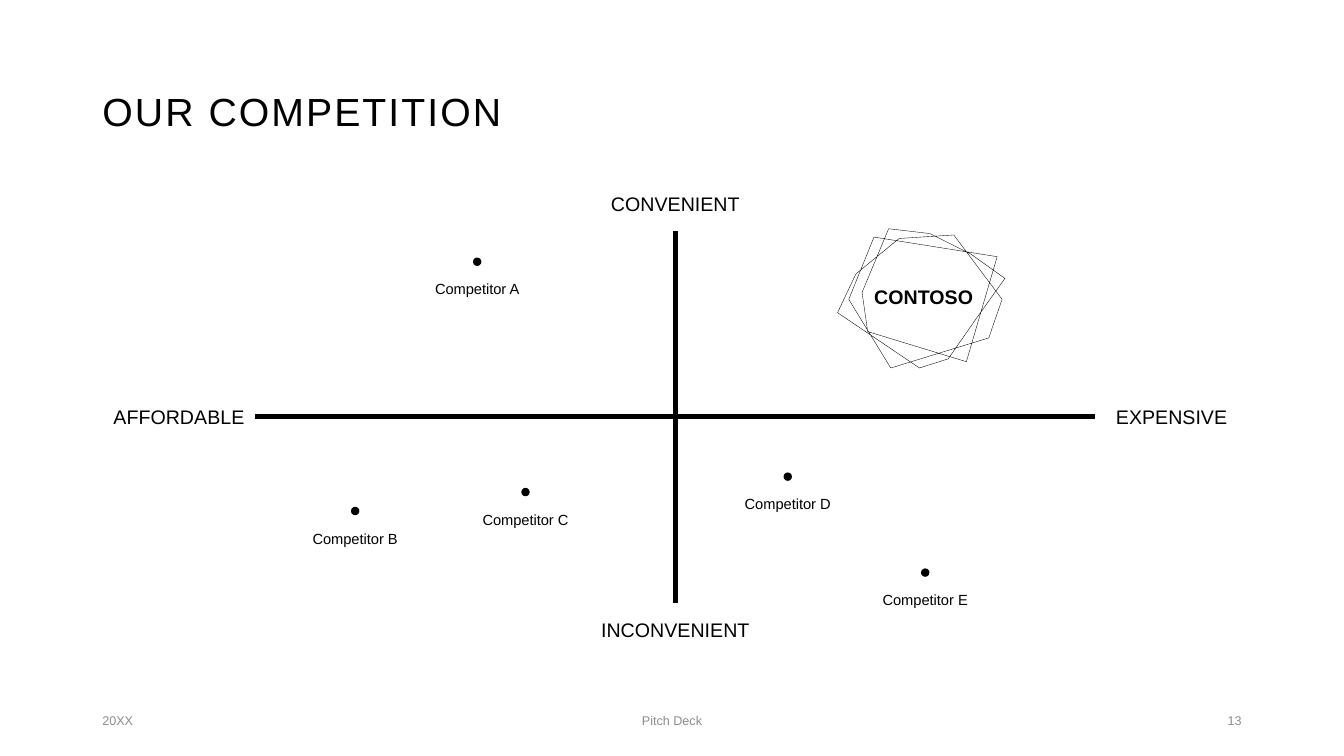
from dataclasses import dataclass

from lxml import etree
from pptx import Presentation
from pptx.dml.color import RGBColor
from pptx.enum.shapes import MSO_CONNECTOR, MSO_SHAPE
from pptx.enum.text import MSO_ANCHOR, MSO_AUTO_SIZE, PP_ALIGN
from pptx.oxml.ns import qn
from pptx.util import Pt

STRAIGHT = MSO_CONNECTOR.STRAIGHT
OVAL = MSO_SHAPE.OVAL
MIDDLE = MSO_ANCHOR.MIDDLE
NO_FIT = MSO_AUTO_SIZE.NONE
LEFT, CENTER, RIGHT = PP_ALIGN.LEFT, PP_ALIGN.CENTER, PP_ALIGN.RIGHT
TOP_SIDE, LEFT_SIDE, BOTTOM_SIDE, RIGHT_SIDE = 0, 1, 2, 3


@dataclass(frozen=True)
class Theme:
    """Colours, font and type sizes of the deck."""
    ink: RGBColor = RGBColor(0x00, 0x00, 0x00)
    muted: RGBColor = RGBColor(0x8C, 0x8C, 0x8C)
    font: str = "Arial"
    title: float = 28
    axis: float = 14
    competitor: float = 10.5
    footer: float = 9


THEME = Theme()

COMPETITORS = [
    ("Competitor A", 112, 22),
    ("Competitor B", 24.8, 200),
    ("Competitor C", 146.5, 186.5),
    ("Competitor D", 333.8, 175.5),
    ("Competitor E", 432, 244),
]

SCRIBBLE = [
    (44, 7), (16.5, 29.5), (13, 32.5), (0, 60), (58.5, 99.5), (79, 93),
    (98.5, 65), (119.5, 35.5), (95, 18), (66, 3.5), (36.5, 0),
    (17.5, 45.5), (21.5, 73.5), (92, 95), (114, 20), (26, 6),
    (8, 50.5), (38, 99.5), (108, 78), (117.5, 50.5), (83, 4.5),
]


def format_text(shape, text, size, color, align, bold=False):
    """Write one formatted paragraph into a shape and return its span."""
    frame = shape.text_frame
    frame.text = text
    frame.word_wrap = True
    frame.auto_size = NO_FIT
    frame.vertical_anchor = MIDDLE
    para = frame.paragraphs[0]
    para.alignment = align
    span = para.runs[0]
    span.font.name = THEME.font
    span.font.size = Pt(size)
    span.font.bold = bold
    span.font.color.rgb = color
    return span


def add_label(page, box, text, size, color=THEME.ink, align=CENTER, bold=False):
    """Add a text box that fills the given box."""
    label = page.shapes.add_textbox(*map(Pt, box))
    format_text(label, text, size, color, align, bold)
    return label


def place_title(page, box, text):
    """Move the title placeholder into the box and format it."""
    title = page.shapes.title
    title.left, title.top, title.width, title.height = map(Pt, box)
    span = format_text(title, text, THEME.title, THEME.ink, LEFT)
    title.text_frame.paragraphs[0].line_spacing = 0.9
    span.font._element.set("spc", "150")


def join_labels(page, start, start_side, end, end_side):
    """Draw an axis between the sides of two labels."""
    axis = page.shapes.add_connector(STRAIGHT, 0, 0, 0, 0)
    axis.begin_connect(start, start_side)
    axis.end_connect(end, end_side)
    axis.line.color.rgb = THEME.ink
    axis.line.width = Pt(3.5)
    etree.SubElement(axis._element.spPr, qn("a:effectLst"))


def place_axes(page, box):
    """Draw the two crossing axes over the box, with labels outside its ends."""
    left, top, width, height = box
    label_height, side_width, end_width = 39, 109, 135
    side_top = top + (height - label_height) / 2
    end_left = left + (width - end_width) / 2

    def axis_label(text, x, y, label_width):
        return add_label(page, (x, y, label_width, label_height), text, THEME.axis)

    affordable = axis_label("AFFORDABLE", left - side_width, side_top, side_width)
    expensive = axis_label("EXPENSIVE", left + width, side_top, side_width)
    convenient = axis_label("CONVENIENT", end_left, top - label_height, end_width)
    inconvenient = axis_label("INCONVENIENT", end_left, top + height, end_width)
    join_labels(page, affordable, RIGHT_SIDE, expensive, LEFT_SIDE)
    join_labels(page, inconvenient, TOP_SIDE, convenient, BOTTOM_SIDE)


def place_competitors(page, box):
    """Place each competitor's dot and name relative to the chart box."""
    left, top = box[:2]
    label_width, label_height, dot_size = 93, 39, 6
    for name, x, y in COMPETITORS:
        label_left, label_top = left + x, top + y
        add_label(page, (label_left, label_top, label_width, label_height),
                  name, THEME.competitor)
        dot_left = label_left + (label_width - dot_size) / 2
        dot = page.shapes.add_shape(OVAL, Pt(dot_left), Pt(label_top - 3),
                                    Pt(dot_size), Pt(dot_size))
        dot.shadow.inherit = False
        dot.fill.solid()
        dot.fill.fore_color.rgb = THEME.ink
        dot.line.fill.background()


def place_company(page, box, name):
    """Draw the company name inside a thin, overlapping outline."""
    left, top, width = box[:3]
    outline_left, outline_top = left + 5.8, top - 7.2
    corners = [(Pt(outline_left + x), Pt(outline_top + y)) for x, y in SCRIBBLE]
    builder = page.shapes.build_freeform(*corners[0])
    builder.add_line_segments(corners[1:], close=True)
    outline = builder.convert_to_shape()
    outline.shadow.inherit = False
    outline.fill.background()
    outline.line.color.rgb = THEME.ink
    outline.line.width = Pt(0.25)
    add_label(page, box, name, THEME.axis, bold=True)


def place_footer(page, box):
    """Set the date, deck name and page number across the box."""
    left, top, width, height = box
    side_width, middle_width = 216, 324
    parts = [
        ("20XX", left, side_width, LEFT),
        ("Pitch Deck", left + (width - middle_width) / 2, middle_width, CENTER),
        ("13", left + width - side_width, side_width, RIGHT),
    ]
    for text, x, part_width, align in parts:
        add_label(page, (x, top, part_width, height), text,
                  THEME.footer, THEME.muted, align)


def build_competition_page(deck):
    """Add the competition page to the deck."""
    page = deck.slides.add_slide(deck.slide_layouts[5])
    chart = (182.4, 165, 600, 265.5)
    place_title(page, (66, 29, 828, 104.4), "OUR COMPETITION")
    place_axes(page, chart)
    place_competitors(page, chart)
    place_company(page, (592.5, 170.6, 134.6, 82.8), "CONTOSO")
    place_footer(page, (66, 500.4, 828, 28.8))


def main():
    """Build and save the deck."""
    deck = Presentation()
    deck.slide_width, deck.slide_height = Pt(960), Pt(540)
    build_competition_page(deck)
    deck.save("out.pptx")


if __name__ == "__main__":
    main()
